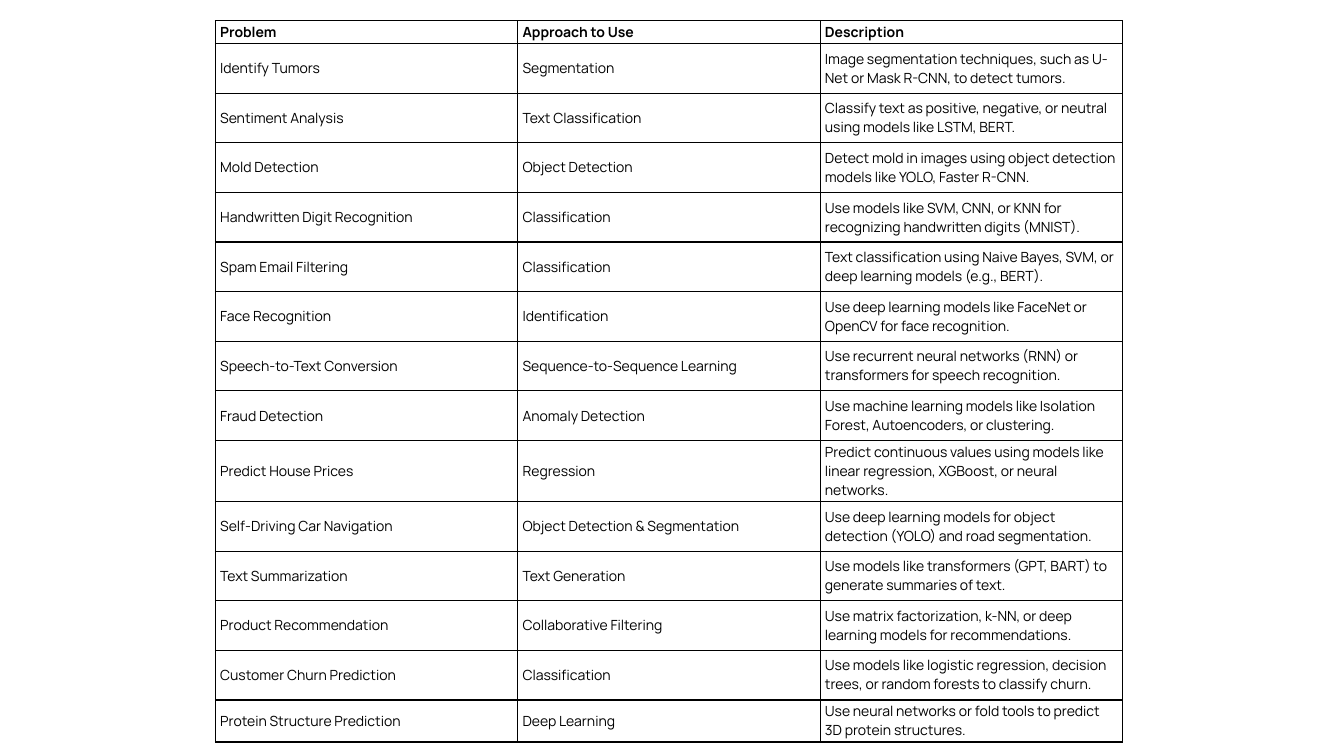
from dataclasses import dataclass

from lxml import etree
from pptx import Presentation
from pptx import util as u
from pptx.dml import color
from pptx.enum import text
from pptx.oxml import ns

COLORS = {"ink": "000000"}
FONT = "Manrope"
COLUMN_WIDTH = u.Cm(7.62)
HEADER_HEIGHT, ROW_HEIGHT, LAST_HEIGHT = u.Cm(0.51), u.Cm(1.25), u.Cm(0.86)


@dataclass(frozen=True)
class Entry:
    problem: str
    approach: str
    description: str


HEADER = Entry("Problem", "Approach to Use", "Description")
ENTRIES = [
    Entry("Identify Tumors", "Segmentation",
          "Image segmentation techniques, such as U-Net or Mask R-CNN, to detect tumors."),
    Entry("Sentiment Analysis", "Text Classification",
          "Classify text as positive, negative, or neutral using models like LSTM, BERT."),
    Entry("Mold Detection", "Object Detection",
          "Detect mold in images using object detection models like YOLO, Faster R-CNN."),
    Entry("Handwritten Digit Recognition", "Classification",
          "Use models like SVM, CNN, or KNN for recognizing handwritten digits (MNIST)."),
    Entry("Spam Email Filtering", "Classification",
          "Text classification using Naive Bayes, SVM, or deep learning models (e.g., BERT)."),
    Entry("Face Recognition", "Identification",
          "Use deep learning models like FaceNet or OpenCV for face recognition."),
    Entry("Speech-to-Text Conversion", "Sequence-to-Sequence Learning",
          "Use recurrent neural networks (RNN) or transformers for speech recognition."),
    Entry("Fraud Detection", "Anomaly Detection",
          "Use machine learning models like Isolation Forest, Autoencoders, or clustering."),
    Entry("Predict House Prices", "Regression",
          "Predict continuous values using models like linear regression, XGBoost, or neural networks."),
    Entry("Self-Driving Car Navigation", "Object Detection & Segmentation",
          "Use deep learning models for object detection (YOLO) and road segmentation."),
    Entry("Text Summarization", "Text Generation",
          "Use models like transformers (GPT, BART) to generate summaries of text."),
    Entry("Product Recommendation", "Collaborative Filtering",
          "Use matrix factorization, k-NN, or deep learning models for recommendations."),
    Entry("Customer Churn Prediction", "Classification",
          "Use models like logistic regression, decision trees, or random forests to classify churn."),
    Entry("Protein Structure Prediction", "Deep Learning",
          "Use neural networks or fold tools to predict 3D protein structures."),
]


def write_text(frame, content: str, *, size: float = 10, bold: bool = False,
               ink: str = "ink") -> None:
    run = frame.paragraphs[0].add_run()
    run.text = content
    run.font.name = FONT
    run.font.size = u.Pt(size)
    run.font.bold = bold
    run.font.color.rgb = color.RGBColor.from_string(COLORS[ink])


def add_borders(cell, *, width: float = 1, ink: str = "ink") -> None:
    properties = cell._tc.get_or_add_tcPr()
    for side in ("lnL", "lnR", "lnT", "lnB"):
        line = etree.SubElement(properties, ns.qn(f"a:{side}"), w=str(u.Pt(width)))
        fill = etree.SubElement(line, ns.qn("a:solidFill"))
        etree.SubElement(fill, ns.qn("a:srgbClr"), val=COLORS[ink])


def fill_cell(cell, content: str, *, bold: bool) -> None:
    cell.margin_left = cell.margin_right = u.Cm(0.12)
    cell.margin_top = cell.margin_bottom = u.Cm(0.05)
    cell.vertical_anchor = text.MSO_ANCHOR.MIDDLE
    add_borders(cell)
    cell.fill.background()
    write_text(cell.text_frame, content, bold=bold)


def add_entry_table(slide, entries: list[Entry]) -> None:
    heights = [HEADER_HEIGHT] + [ROW_HEIGHT] * (len(entries) - 2) + [LAST_HEIGHT]
    table = slide.shapes.add_table(len(entries), 3, u.Cm(5.43), u.Cm(0.52),
                                   3 * COLUMN_WIDTH, sum(heights)).table
    table.first_row = table.horz_banding = False
    for column in table.columns:
        column.width = COLUMN_WIDTH
    for row, height, entry in zip(table.rows, heights, entries):
        row.height = height
        contents = (entry.problem, entry.approach, entry.description)
        for cell, content in zip(row.cells, contents):
            fill_cell(cell, content, bold=entry is HEADER)


def main() -> None:
    # Blank widescreen slide
    presentation = Presentation()
    presentation.slide_width, presentation.slide_height = u.Cm(33.87), u.Cm(19.05)
    slide = presentation.slides.add_slide(presentation.slide_layouts[6])

    # Problems with their approaches
    add_entry_table(slide, [HEADER, *ENTRIES])
    presentation.save("out.pptx")


if __name__ == "__main__":
    main()
